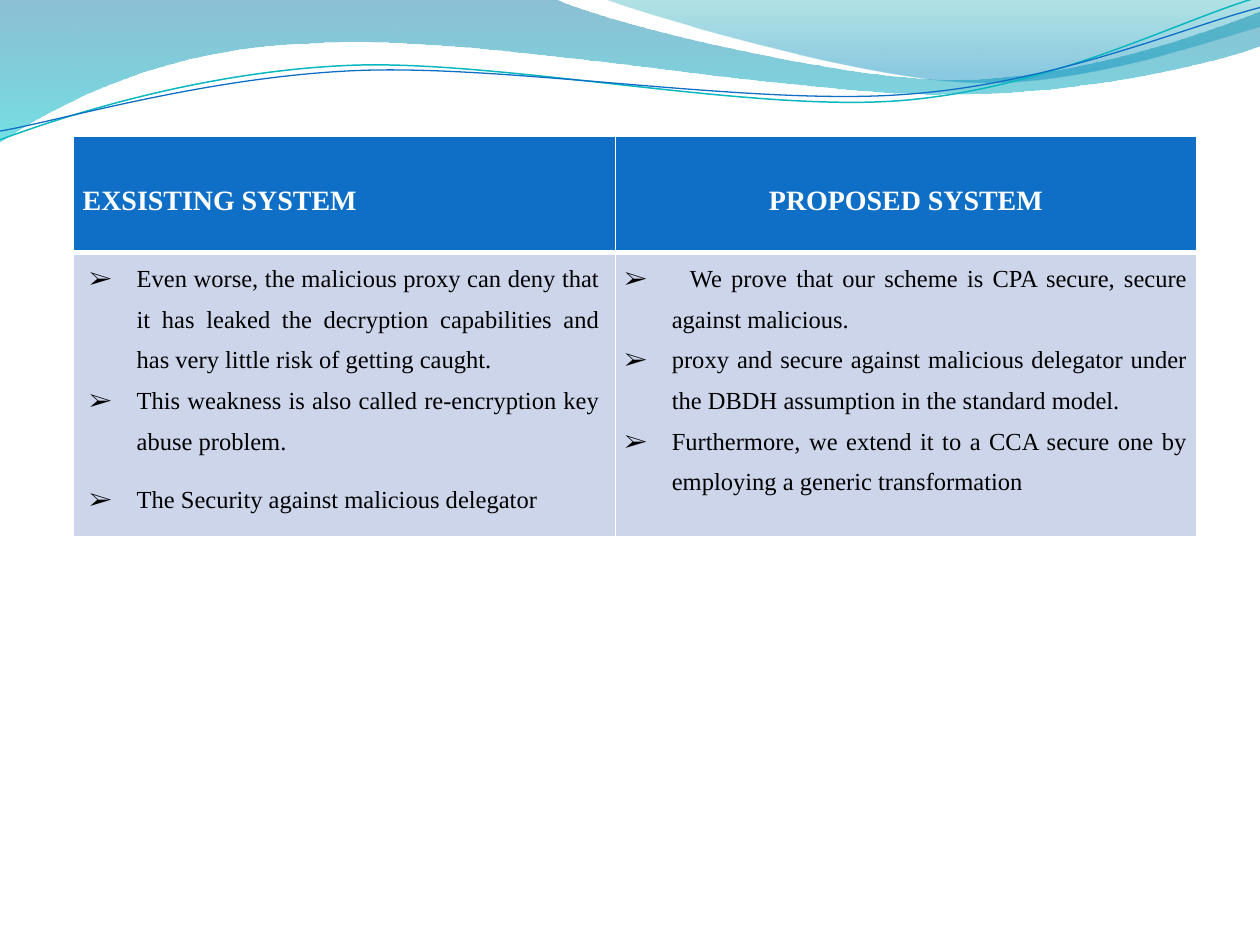
from lxml import etree
from pptx import Presentation
from pptx.dml.color import RGBColor
from pptx.enum.text import PP_ALIGN
from pptx.oxml.ns import qn
from pptx.util import Pt

LEFT, CENTER, JUSTIFY = PP_ALIGN.LEFT, PP_ALIGN.CENTER, PP_ALIGN.JUSTIFY
FONT = "Times New Roman"
COLORS = {
    "header": "0F6FC6", "body": "CCD5EA", "white": "FFFFFF", "black": "000000",
    "teal line": "0AB8BF", "blue line": "0F6FC6",
    "deep blue": "0074A1", "aqua": "00C6CF", "sea": "00A1A9", "sky": "008BBF",
}

# Content: one entry per table column
COLUMNS = [
    {"heading": "EXSISTING SYSTEM", "align": LEFT, "width": 309.6, "inset": 9,
     "points": [  # text, space after
         ("Even worse, the malicious proxy can deny that it has leaked the "
          "decryption capabilities and has very little risk of getting caught.", 0),
         ("This weakness is also called re-encryption key abuse problem.", 10),
         ("The Security against malicious delegator", 10)]},
    {"heading": "PROPOSED SYSTEM", "align": CENTER, "width": 332, "inset": 5.2,
     "points": [
         ("  We prove that our scheme is CPA secure, secure against malicious.", 0),
         ("proxy and secure against malicious delegator under the DBDH "
          "assumption in the standard model.", 0),
         ("Furthermore, we extend it to a CCA secure one by employing a "
          "generic transformation", 0)]},
]
TABLE_LEFT, TABLE_TOP = 42.1, 78
ROW_HEIGHTS = (66.2, 162.7)
HEADER_INSET, HEADER_TOP = 5.2, 25.5
BULLET, BULLET_INDENT = "➢", 27

# Outlines: a start point, then steps of one point (line) or three (Bezier curve)
WAVES = [
    {"start": (0, 0),
     "steps": [[(316.8, -0.7)],
               [(342.7, 12.2), (478.1, 45.4), (545.8, 45.4)],
               [(614.2, 45.4), (689.8, 18.7), (720, 6.5)],
               [(720.7, 25.9)],
               [(707.8, 31.7), (626.4, 54.7), (537.1, 54)],
               [(447.8, 54), (275, 20.2), (185, 24.5)],
               [(92.9, 25.9), (33.1, 59.8), (-0.7, 81.4)]],
     "stops": [(0, "deep blue", 45), (1, "aqua", 55)]},
    {"start": (344.9, -0.7),
     "steps": [[(366.5, 7.9), (491, 44.6), (553.7, 46.8)],
               [(616.3, 49.7), (691.9, 23), (720, 15.1)],
               [(720, 0)]],
     "stops": [(0, "sea", 30), (0.8, "sky", 45)]},
]
RIPPLES = [
    {"start": (0, 79.9),
     "steps": [[(34.6, 67), (113.8, 41), (199.4, 37.4)],
               [(284.4, 33.8), (427, 64.1), (513.4, 57.6)],
               [(599.8, 51.1), (675.4, 10.8), (718.6, -1.4)]],
     "color": "teal line", "width": 0.85},
    {"start": (0, 74.9),
     "steps": [[(33.8, 69.1), (118.1, 43.9), (203.8, 40.3)],
               [(290.2, 36.7), (429.8, 60.5), (516.2, 54)],
               [(601.9, 48.2), (677.5, 15.1), (720, 4.3)]],
     "color": "blue line", "width": 0.75},
]


def rgb(name):
    return RGBColor.from_string(COLORS[name])


def add_outline(shapes, outline, close):
    x, y = outline["start"]
    builder = shapes.build_freeform(Pt(x), Pt(y))
    builder.add_line_segments(
        [(Pt(px), Pt(py)) for step in outline["steps"] for px, py in step], close=close)
    shape = builder.convert_to_shape()
    shape.shadow.inherit = False
    # Join each three-point step into one Bezier curve
    segments = iter(list(shape._element.iter(qn("a:lnTo"))))
    for step in outline["steps"]:
        first, *others = [next(segments) for _ in step]
        if others:
            first.tag = qn("a:cubicBezTo")
            for segment in others:
                first.append(segment[0])
                segment.getparent().remove(segment)
    return shape


def add_wave(shapes, wave):
    shape = add_outline(shapes, wave, True)
    shape.line.fill.background()
    shape.fill.gradient()
    shape.fill.gradient_angle = 270
    for stop, (position, color, _) in zip(shape.fill.gradient_stops, wave["stops"]):
        stop.position = position
        stop.color.rgb = rgb(color)
    gradient = shape._element.spPr.find(qn("a:gradFill"))
    for node, (_, _, opacity) in zip(gradient.iter(qn("a:srgbClr")), wave["stops"]):
        etree.SubElement(node, qn("a:alpha"), val=str(opacity * 1000))


def add_ripple(shapes, ripple):
    shape = add_outline(shapes, ripple, False)
    shape.fill.background()
    shape.line.color.rgb = rgb(ripple["color"])
    shape.line.width = Pt(ripple["width"])


def format_cell(cell, fill, inset, top, borders):
    cell.margin_left = cell.margin_right = Pt(inset)
    cell.margin_top, cell.margin_bottom = Pt(top), 0
    properties = cell._tc.get_or_add_tcPr()
    for side, width in zip(("lnL", "lnR", "lnT", "lnB"), borders):
        line = etree.SubElement(properties, qn("a:" + side), w=str(Pt(width)))
        solid = etree.SubElement(line, qn("a:solidFill"))
        etree.SubElement(solid, qn("a:srgbClr"), val=COLORS["white"])
    cell.fill.solid()
    cell.fill.fore_color.rgb = rgb(fill)


def write(paragraph, text, align, spacing, after, size, color, bold, bullet=None):
    paragraph.text = text
    paragraph.alignment = align
    paragraph.line_spacing = spacing
    paragraph.space_after = Pt(after)
    if bullet:
        properties = paragraph._p.get_or_add_pPr()
        properties.set("marL", str(Pt(BULLET_INDENT)))
        properties.set("indent", str(-Pt(BULLET_INDENT)))
        etree.SubElement(properties, qn("a:buFont"), typeface=FONT)
        etree.SubElement(properties, qn("a:buChar"), char=bullet)
    font = paragraph.font
    font.name, font.size, font.bold = FONT, Pt(size), bold
    font.color.rgb = rgb(color)


def add_comparison(shapes):
    width = sum(column["width"] for column in COLUMNS)
    table = shapes.add_table(2, len(COLUMNS), Pt(TABLE_LEFT), Pt(TABLE_TOP),
                             Pt(width), Pt(sum(ROW_HEIGHTS))).table
    table.horz_banding = False
    for row, height in zip(table.rows, ROW_HEIGHTS):
        row.height = Pt(height)
    for i, column in enumerate(COLUMNS):
        table.columns[i].width = Pt(column["width"])
        header, body = table.cell(0, i), table.cell(1, i)
        format_cell(header, "header", HEADER_INSET, HEADER_TOP, (1, 1, 1, 3))
        write(header.text_frame.paragraphs[0], column["heading"], column["align"],
              1.15, 10, 16, "white", True)
        format_cell(body, "body", column["inset"], 0, (1, 1, 1, 1))
        frame = body.text_frame
        for n, (text, after) in enumerate(column["points"]):
            paragraph = frame.add_paragraph() if n else frame.paragraphs[0]
            write(paragraph, text, JUSTIFY, 1.5, after, 14, "black", False, BULLET)


def main():
    deck = Presentation()
    deck.slide_width, deck.slide_height = Pt(720), Pt(540)
    shapes = deck.slides.add_slide(deck.slide_layouts[6]).shapes
    # Wave decoration along the top
    for wave in WAVES:
        add_wave(shapes, wave)
    for ripple in RIPPLES:
        add_ripple(shapes, ripple)
    # Comparison table
    add_comparison(shapes)
    deck.save("out.pptx")


if __name__ == "__main__":
    main()
